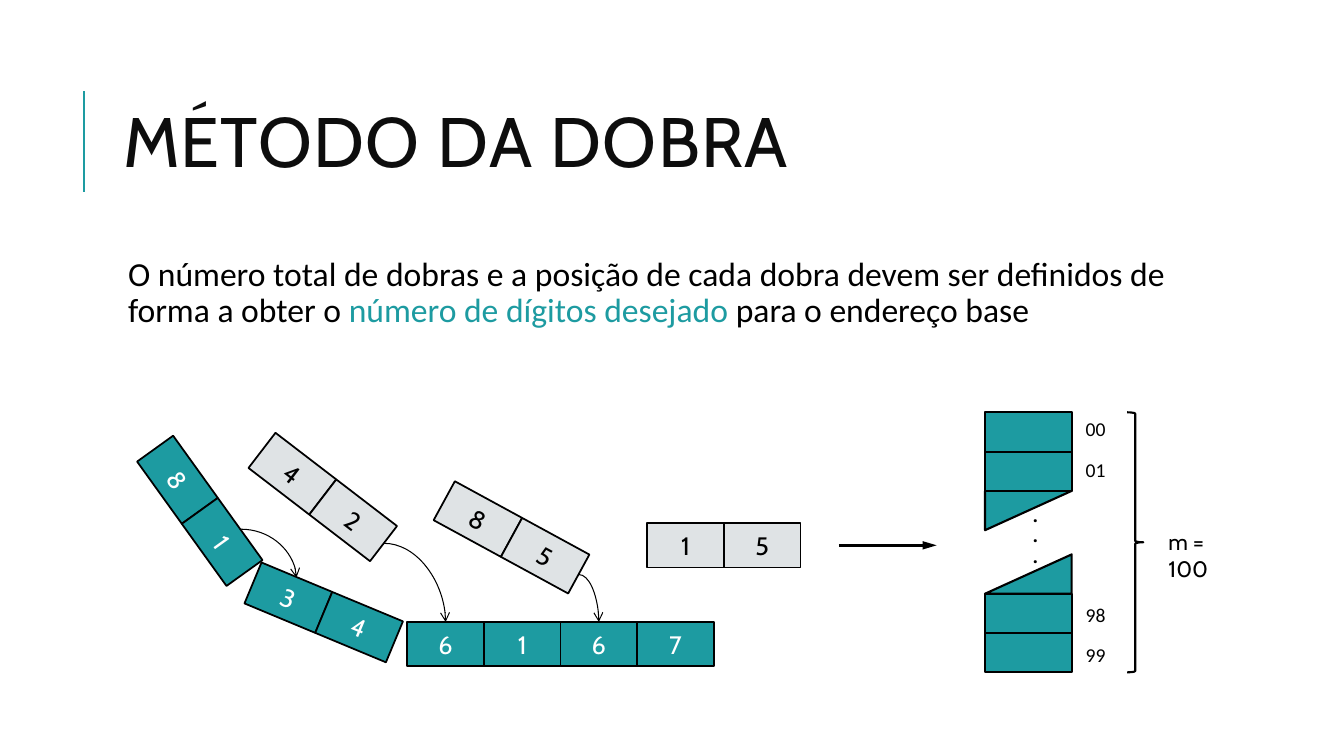
from math import cos, radians, sin

from pptx import Presentation
from pptx.dml.color import RGBColor
from pptx.enum.shapes import MSO_CONNECTOR, MSO_SHAPE
from pptx.enum.text import MSO_ANCHOR, MSO_AUTO_SIZE, PP_ALIGN
from pptx.oxml.ns import qn
from pptx.util import Inches, Pt
from lxml.etree import SubElement

TEAL, GREY, BLACK, WHITE, INK = "1D9BA1", "DFE3E5", "000000", "FFFFFF", "0D0D0D"
CELL_WIDTH, CELL_HEIGHT = 0.76, 0.44
SLOT_WIDTH, SLOT_HEIGHT = 0.86, 0.39


def color(value):
    return RGBColor.from_string(value)


def apply(target, values):
    for name, value in values.items():
        setattr(target, name, value)


def place(shape, box):
    apply(shape, dict(zip(("left", "top", "width", "height"), map(Inches, box))))


def write(para, text, size, font, ink, bold=False):
    span = para.add_run()
    span.text = text
    apply(span.font, {"size": Pt(size), "name": font, "bold": bold})
    span.font.color.rgb = color(ink)
    return span


def add_figure(page, kind, box, fill=None, weight=1.5, flip=None):
    shape = page.shapes.add_shape(kind, *map(Inches, box))
    shape.shadow.inherit = False
    if fill:
        shape.fill.solid()
        shape.fill.fore_color.rgb = color(fill)
    else:
        shape.fill.background()
    shape.line.color.rgb = color(BLACK)
    shape.line.width = Pt(weight)
    if flip:
        shape.element.spPr.xfrm.set(flip, "1")
    return shape


def add_line(page, start, end, ink, weight, head=None, length="med", curved=False):
    kind = MSO_CONNECTOR.CURVE if curved else MSO_CONNECTOR.STRAIGHT
    line = page.shapes.add_connector(kind, *map(Inches, start + end))
    line.line.color.rgb = color(ink)
    line.line.width = Pt(weight)
    properties = line.element.spPr
    if curved:
        properties.find(qn("a:prstGeom")).set("prst", "curvedConnector2")
    if head:
        SubElement(properties.find(qn("a:ln")), qn("a:tailEnd"), type=head, w="med", len=length)
    SubElement(properties, qn("a:effectLst"))


def add_label(page, box, lines, size, font, bold=False):
    frame = page.shapes.add_textbox(*map(Inches, box)).text_frame
    frame.word_wrap = True
    for index, text in enumerate(lines):
        para = frame.add_paragraph() if index else frame.paragraphs[0]
        write(para, text, size, font, BLACK, bold)


def add_heading(page, box):
    left, top, width, height = box
    add_line(page, (left - 0.29, top + 1.26), (left - 0.29, top + 0.26), TEAL, 1.5)
    title = page.shapes.title
    place(title, box)
    apply(title.text_frame, {"vertical_anchor": MSO_ANCHOR.MIDDLE, "word_wrap": True,
                             "auto_size": MSO_AUTO_SIZE.NONE})
    para = title.text_frame.paragraphs[0]
    apply(para, {"alignment": PP_ALIGN.LEFT, "line_spacing": 0.8})
    span = write(para, "MÉTODO DA DOBRA", 50, "Cabin", INK)
    span.font._element.set("spc", "100")


def add_body(page, box):
    body = page.placeholders[1]
    place(body, box)
    frame = body.text_frame
    apply(frame, {"vertical_anchor": MSO_ANCHOR.TOP, "auto_size": MSO_AUTO_SIZE.NONE})
    apply(frame, {"margin_" + side: Inches(0.05) for side in ("left", "top", "right", "bottom")})
    para = frame.paragraphs[0]
    apply(para, {"alignment": PP_ALIGN.LEFT, "line_spacing": 0.9,
                 "space_before": Pt(12), "space_after": Pt(2)})
    properties = para._p.get_or_add_pPr()
    properties.set("marL", str(Inches(0.1)))
    properties.set("indent", "0")
    SubElement(properties, qn("a:buNone"))
    for text, ink in (
        ("O número total de dobras e a posição de cada dobra devem ser definidos de forma a obter o ", BLACK),
        ("número de dígitos desejado ", TEAL),
        ("para o endereço base", BLACK),
    ):
        write(para, text, 24, "Calibri", ink)


def add_strip(page, center, angle, digits, fill, ink):
    for index, digit in enumerate(digits):
        left = center[0] + index * CELL_WIDTH * cos(radians(angle)) - CELL_WIDTH / 2
        top = center[1] + index * CELL_WIDTH * sin(radians(angle)) - CELL_HEIGHT / 2
        cell = add_figure(page, MSO_SHAPE.RECTANGLE, (left, top, CELL_WIDTH, CELL_HEIGHT), fill, 1.25)
        cell.rotation = angle
        cell.text_frame.vertical_anchor = MSO_ANCHOR.MIDDLE
        para = cell.text_frame.paragraphs[0]
        para.alignment = PP_ALIGN.CENTER
        write(para, digit, 18, "Cabin", ink)


def add_folding(page, box):
    left, top = box[:2]
    strips = (
        ((0.4, 0.46), 54.3, "81", TEAL, WHITE),
        ((1.5, 1.63), 22.6, "34", TEAL, WHITE),
        ((3.06, 2.09), 0, "6167", TEAL, WHITE),
        ((1.54, 0.4), 37.5, "42", GREY, BLACK),
        ((3.38, 0.85), 28.6, "85", GREY, BLACK),
        ((5.44, 1.11), 0, "15", GREY, BLACK),
    )
    for (across, down), angle, digits, fill, ink in strips:
        add_strip(page, (left + across, top + down), angle, digits, fill, ink)
    folds = ((1.03, 0.95, 1.58, 1.43), (2.45, 1.09, 3.06, 1.87), (4.38, 1.4, 4.58, 1.87))
    for x1, y1, x2, y2 in folds:
        add_line(page, (left + x1, top + y1), (left + x2, top + y2), BLACK, 0.75, "arrow", curved=True)
    add_line(page, (left + 6.96, top + 1.11), (left + 7.93, top + 1.11), BLACK, 2, "triangle", "lg")


def add_addresses(page, box):
    left, top, width, height = box
    halves = (
        (top, ("00", "01"), (0, 1), 2, "flipV", top),
        (top + height - 3 * SLOT_HEIGHT, ("98", "99"), (1, 2), 0, "flipH", top + 1.84),
    )
    for start, names, slots, torn, flip, label_top in halves:
        add_figure(page, MSO_SHAPE.RIGHT_TRIANGLE,
                   (left, start + torn * SLOT_HEIGHT, SLOT_WIDTH, SLOT_HEIGHT), TEAL, flip=flip)
        for index, (name, slot) in enumerate(zip(names, slots)):
            add_figure(page, MSO_SHAPE.RECTANGLE,
                       (left, start + slot * SLOT_HEIGHT, SLOT_WIDTH, SLOT_HEIGHT), TEAL)
            add_label(page, (left + 0.9, label_top + 0.4 * index, 0.42, 0.34), [name], 14, "Calibri")
    add_label(page, (left + 0.35, top + 0.88, 0.29, 0.71), "...", 12, "Noto Sans Mono", True)
    add_figure(page, MSO_SHAPE.RIGHT_BRACE, (left + 1.41, top, 0.16, height))
    add_label(page, (left + 1.72, top + 1.1, 0.8, 0.37), ["m = 100"], 16, "Cabin")


deck = Presentation()
apply(deck, {"slide_width": Inches(13.33), "slide_height": Inches(7.5)})
page = deck.slides.add_slide(deck.slide_layouts[1])
add_heading(page, (1.12, 0.64, 10.63, 1.64))
add_body(page, (1.12, 2.5, 10.63, 4.4))
add_folding(page, (1.36, 4.3, 7.93, 2.31))
add_addresses(page, (9.77, 4.09, 2.52, 2.58))
deck.save("out.pptx")
